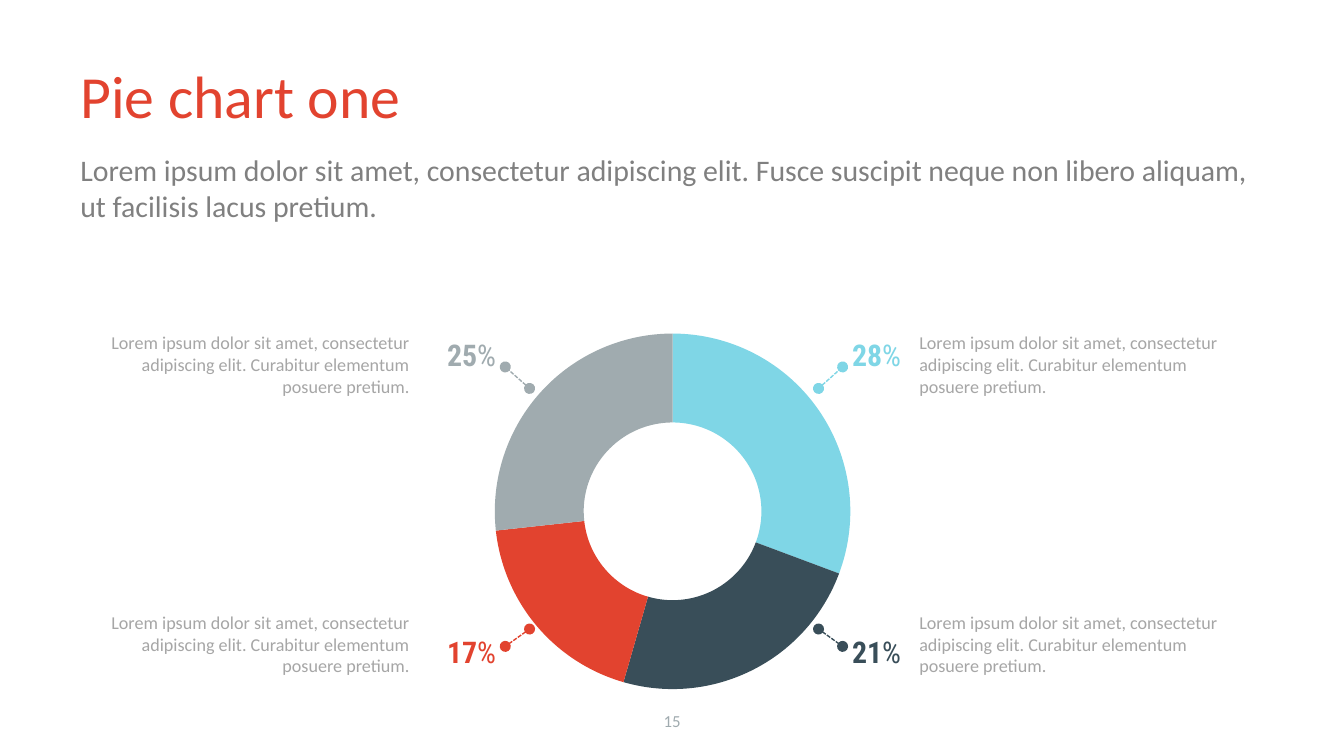
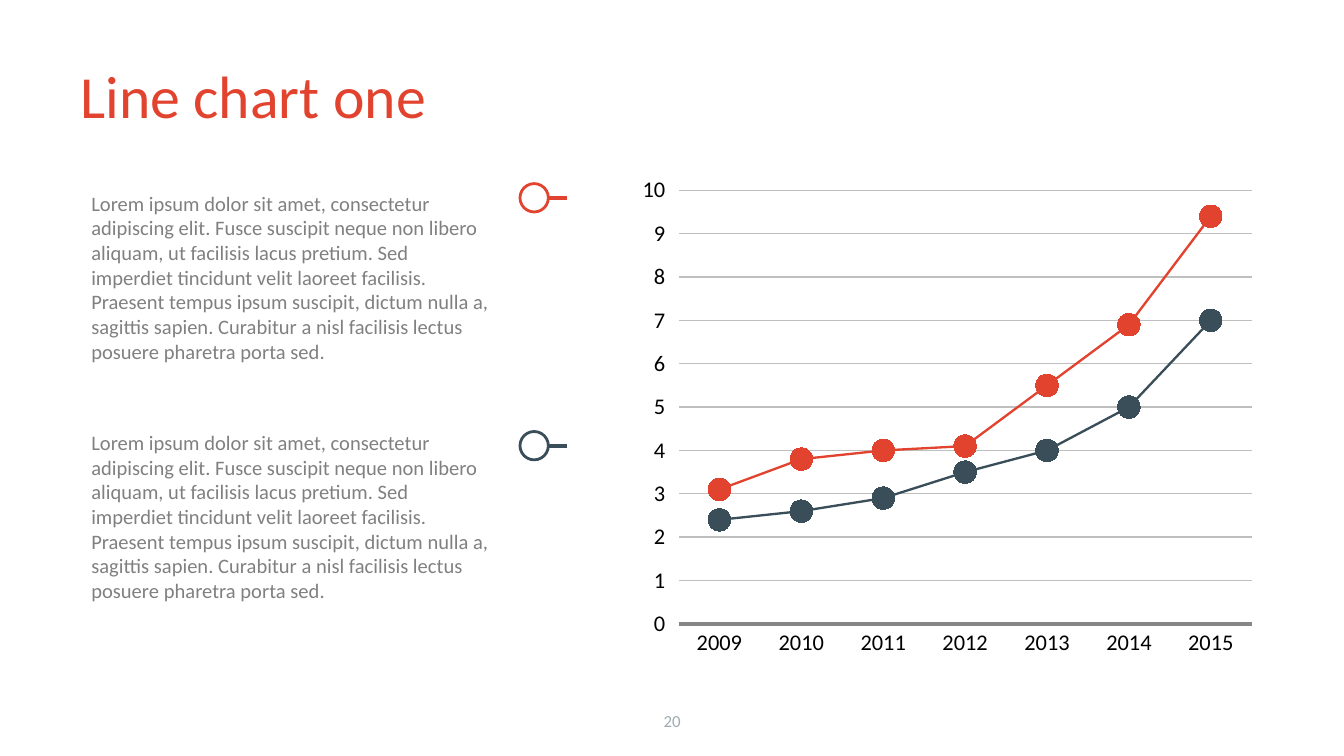
from dataclasses import dataclass

from lxml import etree
from pptx import Presentation
from pptx.chart.data import CategoryChartData
from pptx.dml.color import RGBColor
from pptx.enum.chart import XL_CHART_TYPE, XL_MARKER_STYLE, XL_TICK_MARK
from pptx.enum.dml import MSO_LINE
from pptx.enum.shapes import MSO_CONNECTOR, MSO_SHAPE
from pptx.enum.text import MSO_ANCHOR, PP_ALIGN
from pptx.oxml.ns import qn
from pptx.util import Pt

LEFT, CENTER, RIGHT = PP_ALIGN.LEFT, PP_ALIGN.CENTER, PP_ALIGN.RIGHT
TOP, MIDDLE = MSO_ANCHOR.TOP, MSO_ANCHOR.MIDDLE
TICK_NONE, TICK_OUT = XL_TICK_MARK.NONE, XL_TICK_MARK.OUTSIDE


@dataclass(frozen=True)
class Theme:
    red: RGBColor = RGBColor.from_string("E2432F")
    navy: RGBColor = RGBColor.from_string("394E59")
    sky: RGBColor = RGBColor.from_string("7FD6E6")
    silver: RGBColor = RGBColor.from_string("A0ABAF")
    body: RGBColor = RGBColor.from_string("808080")
    caption: RGBColor = RGBColor.from_string("A6A6A6")
    grid: RGBColor = RGBColor.from_string("BFBFBF")
    axis: RGBColor = RGBColor.from_string("868686")
    white: RGBColor = RGBColor.from_string("FFFFFF")
    black: RGBColor = RGBColor.from_string("000000")
    font: str = "Calibri"
    figure_font: str = "Roboto Condensed"
    title_size: float = 32
    lead_size: float = 16
    figure_size: float = 16
    axis_size: float = 12
    text_size: float = 11
    caption_size: float = 9.7
    number_size: float = 9


T = Theme()


def add_text(s, box, text, size, color, align=LEFT, anchor=TOP, margins=(7.2, 3.6)):
    """Add a wrapped one-paragraph text box; margins are (sides, top and bottom)."""
    tf = s.shapes.add_textbox(*map(Pt, box)).text_frame
    tf.word_wrap = True
    tf.vertical_anchor = anchor
    tf.margin_left = tf.margin_right = Pt(margins[0])
    tf.margin_top = tf.margin_bottom = Pt(margins[1])
    p = tf.paragraphs[0]
    p.text = text
    p.alignment = align
    font = p.runs[0].font
    font.name, font.size, font.color.rgb = T.font, Pt(size), color
    return p


def add_line(s, start, end, color, width):
    line = s.shapes.add_connector(MSO_CONNECTOR.STRAIGHT, *map(Pt, start + end))
    line.line.color.rgb = color
    line.line.width = Pt(width)
    etree.SubElement(line._element.spPr, qn("a:effectLst"))
    return line


prs = Presentation()
prs.slide_width, prs.slide_height = Pt(720), Pt(405)
blank = prs.slide_layouts[6]

slides = []
for title, number in (("Pie chart one", "15"), ("Line chart one", "20")):
    s = prs.slides.add_slide(blank)
    add_text(s, (36, 16.6, 648, 67.7), title, T.title_size, T.red, anchor=MIDDLE)
    add_text(s, (276, 375.1, 168, 21.6), number, T.number_size, T.silver, CENTER, MIDDLE)
    slides.append(s)
pie_slide, line_slide = slides

# Slide 1: doughnut with four callouts
s = pie_slide
add_text(s, (36, 77.8, 648, 267),
         "Lorem ipsum dolor sit amet, consectetur adipiscing elit. "
         "Fusce suscipit neque non libero aliquam, ut facilisis lacus pretium.",
         T.lead_size, T.body)

data = CategoryChartData()
data.categories = ["1", "2", "3", "4"]
data.add_series("Series 1", (31, 24, 19, 27))
doughnut = s.shapes.add_chart(XL_CHART_TYPE.DOUGHNUT, Pt(201.6), Pt(169.2),
                              Pt(317.5), Pt(211.7), data).chart
doughnut.plots[0].has_data_labels = False
for i, color in enumerate((T.sky, T.navy, T.red, T.silver)):
    fmt = doughnut.plots[0].series[0].points[i].format
    fmt.fill.solid()
    fmt.fill.fore_color.rgb = color
    fmt.line.fill.background()

# Sides: figure left, caption left, leader start and end, alignment
right_side = (456.5, 483.1, 438.5, 451.4, LEFT)
left_side = (220.3, 37.4, 283.7, 270.7, RIGHT)
# Rows: figure top, caption top, leader start and end
upper_row = (176.4, 172.8, 208.1, 196.6)
lower_row = (335.5, 322.6, 337, 346.3)
callouts = (("28", T.sky, right_side, upper_row), ("21", T.navy, right_side, lower_row),
            ("17", T.red, left_side, lower_row), ("25", T.silver, left_side, upper_row))
for figure, color, side, row in callouts:
    figure_x, caption_x, start_x, end_x, align = side
    figure_y, caption_y, start_y, end_y = row
    p = add_text(s, (figure_x, figure_y, 45.4, 27.4), figure, T.figure_size, color,
                 align, MIDDLE, (0, 0))
    p.space_after = Pt(3)
    p.add_run().text = "%"
    for r, bold in zip(p.runs, (True, False)):
        r.font.name, r.font.size, r.font.bold = T.figure_font, Pt(T.figure_size), bold
        r.font.color.rgb = color
    leader = add_line(s, (start_x, start_y), (end_x, end_y), color, 0.75)
    leader.line.dash_style = MSO_LINE.SQUARE_DOT
    for tag in ("a:headEnd", "a:tailEnd"):
        etree.SubElement(leader.line._get_or_add_ln(), qn(tag), type="oval")
    add_text(s, (caption_x, caption_y, 191.5, 47.5),
             "Lorem ipsum dolor sit amet, consectetur adipiscing elit. "
             "Curabitur elementum posuere pretium.",
             T.caption_size, T.caption, align, margins=(9.4, 5))

# Slide 2: line chart with two keyed paragraphs
s = line_slide
data = CategoryChartData()
data.categories = [str(year) for year in range(2009, 2016)]
data.add_series("Series 1", (3.1, 3.8, 4, 4.1, 5.5, 6.9, 9.4))
data.add_series("Series 2", (2.4, 2.6, 2.9, 3.5, 4, 5, 7))
lines = s.shapes.add_chart(XL_CHART_TYPE.LINE_MARKERS, Pt(336.2), Pt(88.6),
                           Pt(341.3), Pt(267.1), data).chart
for series, color in zip(lines.plots[0].series, (T.red, T.navy)):
    series.smooth = False
    series.format.line.color.rgb = color
    series.format.line.width = Pt(1.25)
    marker = series.marker
    marker.style, marker.size = XL_MARKER_STYLE.CIRCLE, 12
    marker.format.fill.solid()
    marker.format.fill.fore_color.rgb = T.white
    marker.format.line.color.rgb = color
    marker.format.line.width = Pt(1.25)

years, values = lines.category_axis, lines.value_axis
years.major_tick_mark = years.minor_tick_mark = TICK_NONE
years.format.line.color.rgb = T.axis
years.format.line.width = Pt(2.5)
values.minimum_scale, values.maximum_scale, values.major_unit = 0, 10, 1
values.major_tick_mark, values.minor_tick_mark = TICK_OUT, TICK_NONE
values.format.line.fill.background()
values.major_gridlines.format.line.color.rgb = T.grid
values.major_gridlines.format.line.width = Pt(0.75)

for color, text_y, key_y in ((T.red, 98.6, 106), (T.navy, 226.8, 238.8)):
    add_line(s, (303.8, key_y), (283.7, key_y), color, 2)
    ring = s.shapes.add_shape(MSO_SHAPE.OVAL, Pt(278.6), Pt(key_y - 7.6), Pt(15.2), Pt(15.2))
    ring.shadow.inherit = False
    ring.fill.solid()
    ring.fill.fore_color.rgb = T.white
    ring.line.color.rgb = color
    ring.line.width = Pt(1.5)
    p = add_text(s, (41.8, text_y, 229.7, 100.8),
                 "Lorem ipsum dolor sit amet, consectetur adipiscing elit. Fusce suscipit "
                 "neque non libero aliquam, ut facilisis lacus pretium. Sed imperdiet "
                 "tincidunt velit laoreet facilisis. Praesent tempus ipsum suscipit, dictum "
                 "nulla a, sagittis sapien. Curabitur a nisl facilisis lectus posuere "
                 "pharetra porta sed.", T.text_size, T.body)
    p.space_after = Pt(6)

# Shared chart settings, with the plot area as fractions of the chart frame
for chart, size, plot_area in ((doughnut, 18, (0.2, 0.04, 0.6, 0.91)),
                               (lines, T.axis_size, (0.08, 0.05, 0.9, 0.87))):
    chart.has_title = chart.has_legend = False
    chart.plots[0].vary_by_categories = chart is doughnut
    chart.font.name, chart.font.size = T.font, Pt(size)
    chart.font.color.rgb = T.black
    area = chart._chartSpace.chart.plotArea
    for old in area.findall(qn("c:layout")):
        area.remove(old)
    layout = etree.Element(qn("c:layout"))
    area.insert(0, layout)
    manual = etree.SubElement(layout, qn("c:manualLayout"))
    settings = [("layoutTarget", "inner"), ("xMode", "edge"), ("yMode", "edge")]
    for tag, value in settings + list(zip("xywh", plot_area)):
        etree.SubElement(manual, qn("c:" + tag), val=str(value))

prs.save("out.pptx")
